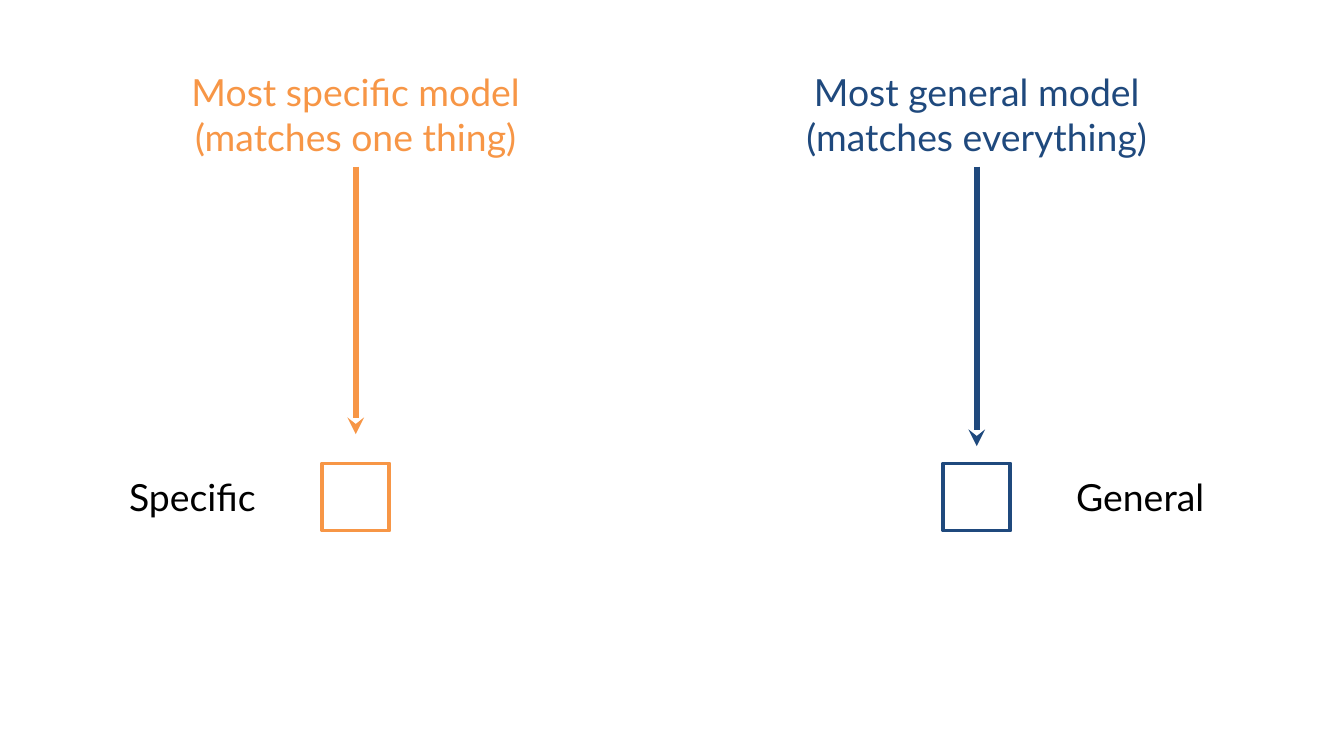
from lxml import etree
from pptx import Presentation
from pptx.dml.color import RGBColor
from pptx.enum.shapes import MSO_CONNECTOR, MSO_SHAPE
from pptx.enum.text import MSO_ANCHOR, PP_ALIGN
from pptx.oxml.ns import qn
from pptx.util import Pt

BOTTOM = MSO_ANCHOR.BOTTOM
MIDDLE = MSO_ANCHOR.MIDDLE
CENTER = PP_ALIGN.CENTER
RECTANGLE = MSO_SHAPE.RECTANGLE
STRAIGHT = MSO_CONNECTOR.STRAIGHT


def color(value):
    return RGBColor.from_string(value)


class Diagram:
    font = "Lato"
    size = 20
    black = "000000"
    white = "FFFFFF"
    blue = "1F497D"
    orange = "F79646"

    def __init__(self, slide):
        self.slide = slide

    def text(self, left, top, width, height, wording, ink, anchor):
        box = self.slide.shapes.add_textbox(Pt(left), Pt(top), Pt(width), Pt(height))
        frame = box.text_frame
        frame.word_wrap = True
        frame.vertical_anchor = anchor
        frame.text = wording
        for paragraph in frame.paragraphs:
            paragraph.alignment = CENTER
            for run in paragraph.runs:
                run.font.name = self.font
                run.font.size = Pt(self.size)
                run.font.color.rgb = color(ink)

    def square(self, center, top, side, ink):
        square = self.slide.shapes.add_shape(
            RECTANGLE, Pt(center - side / 2), Pt(top), Pt(side), Pt(side))
        square.shadow.inherit = False
        square.fill.solid()
        square.fill.fore_color.rgb = color(self.white)
        square.line.color.rgb = color(ink)
        square.line.width = Pt(2)

    def arrow(self, center, top, bottom, ink):
        arrow = self.slide.shapes.add_connector(
            STRAIGHT, Pt(center), Pt(top), Pt(center), Pt(bottom))
        arrow.line.color.rgb = color(ink)
        arrow.line.width = Pt(3)
        etree.SubElement(arrow.line._get_or_add_ln(), qn("a:tailEnd"), type="stealth")
        etree.SubElement(arrow._element.spPr, qn("a:effectLst"))


def main():
    deck = Presentation()
    deck.slide_width, deck.slide_height = Pt(720), Pt(405)
    diagram = Diagram(deck.slides.add_slide(deck.slide_layouts[6]))

    side = 36
    caption_width, label_width, text_height = 233, 139, 80
    models = [
        ("General", "Most general model\n(matches everything)",
         523.3, 239, diagram.blue, side / 2),
        ("Specific", "Most specific model\n(matches one thing)",
         190.6, 232.6, diagram.orange, -side / 2 - label_width),
    ]
    for label, caption, center, arrow_tip, ink, label_offset in models:
        diagram.square(center, 248.3, side, ink)
        diagram.text(center - caption_width / 2, 8.6, caption_width, text_height,
                     caption, ink, BOTTOM)
        diagram.arrow(center, 89.3, arrow_tip, ink)
        diagram.text(center + label_offset, 226, label_width, text_height,
                     label, diagram.black, MIDDLE)

    deck.save("out.pptx")


if __name__ == "__main__":
    main()
